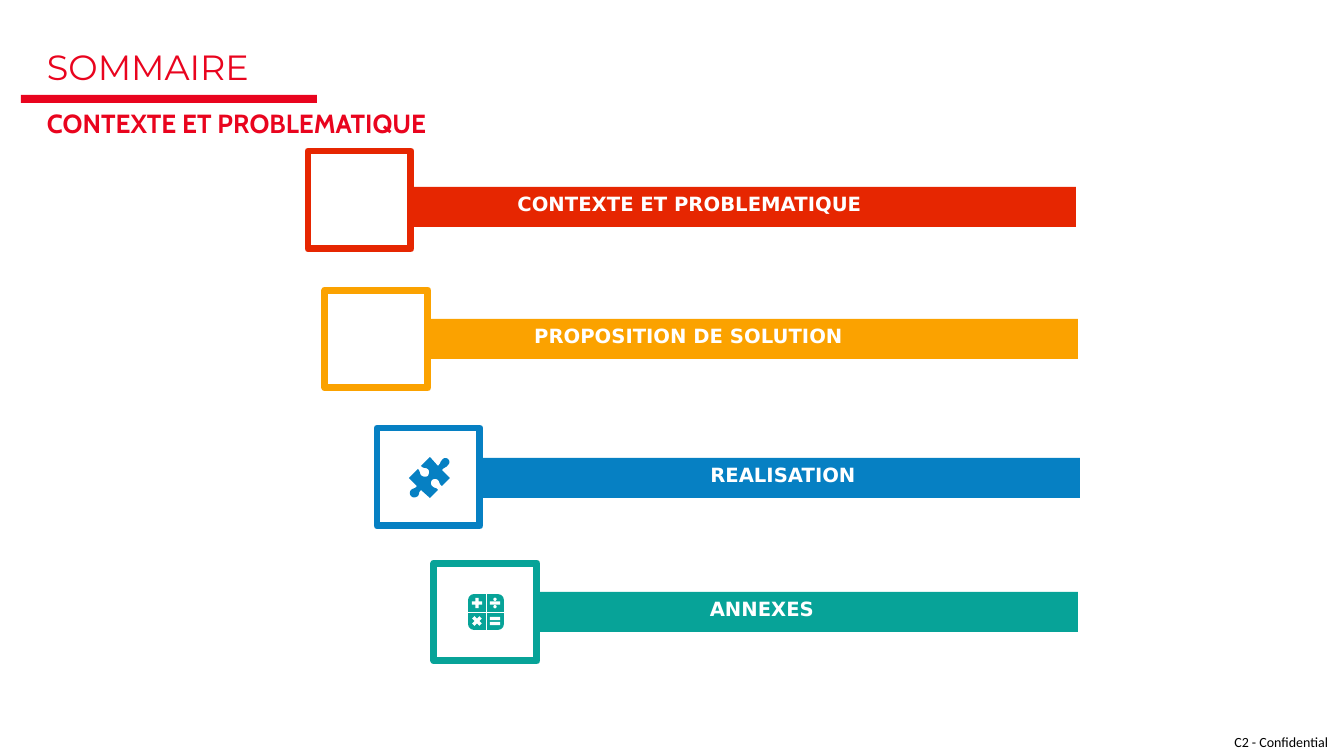
import dataclasses

import lxml.etree
import pptx
import pptx.dml.color
import pptx.enum.shapes
import pptx.enum.text
import pptx.oxml.ns
import pptx.util

PX = 914400 / 100.8
SHAPES = pptx.enum.shapes.MSO_SHAPE
ALIGN = pptx.enum.text.PP_ALIGN
ANCHOR = pptx.enum.text.MSO_ANCHOR


@dataclasses.dataclass(frozen=True)
class Theme:
    accent: str = "E9041E"
    red: str = "E62601"
    orange: str = "FBA200"
    blue: str = "0680C3"
    teal: str = "07A398"
    white: str = "FFFFFF"
    black: str = "000000"
    title_size: float = 25
    subtitle_size: float = 18.7
    label_size: float = 14
    footer_size: float = 10
    frame_width: float = 5


THEME = Theme()


@dataclasses.dataclass(frozen=True)
class Chapter:
    label: str
    color: str
    frame_left: int
    frame_top: int
    bar_left: int
    bar_top: int
    bar_right: int
    label_left: int
    label_right: int


CHAPTERS = [
    Chapter("CONTEXTE ET PROBLEMATIQUE", THEME.red, 308, 151, 393, 187, 1076, 418, 961),
    Chapter("PROPOSITION DE SOLUTION", THEME.orange, 325, 290, 410, 319, 1078, 434, 943),
    Chapter("REALISATION", THEME.blue, 377, 428, 463, 458, 1080, 486, 1080),
    Chapter("ANNEXES", THEME.teal, 434, 563, 520, 592, 1078, 540, 984),
]
FRAME_SIZE = (103, 98)
BAR_HEIGHT = 40
LABEL_HEIGHT = 34

# Two numbers are a line to a point; six are a cubic curve.
PUZZLE_START = (39, 2)
PUZZLE_SEGMENTS = [
    (41, 4, 41, 6, 39, 8), (37, 11, 35, 10, 33, 13), (41, 21), (33, 29),
    (30, 27, 31, 25, 29, 23), (27, 21, 24, 22, 23, 23), (22, 24, 21, 27, 23, 29),
    (26, 32, 27, 30, 29, 33), (21, 41), (12, 33),
    (9, 36, 11, 36, 9, 39), (6, 41, 4, 41, 2, 39), (1, 38, 0, 35, 2, 33),
    (4, 31, 6, 32, 8, 29), (0, 21), (9, 12),
    (12, 15, 10, 17, 13, 19), (15, 20, 17, 20, 19, 19), (20, 17, 21, 14, 19, 12),
    (16, 10, 15, 12, 12, 9), (21, 0), (29, 9),
    (32, 6, 31, 5, 33, 3), (35, 0, 38, 1, 39, 2),
]


def emu(*lengths):
    return [round(length * PX) for length in lengths]


def rgb(color):
    return pptx.dml.color.RGBColor.from_string(color)


def paint(shape, fill, line=None):
    shape.shadow.inherit = False
    shape.fill.solid()
    shape.fill.fore_color.rgb = rgb(fill)
    if line:
        shape.line.color.rgb = rgb(line)
        shape.line.width = pptx.util.Pt(THEME.frame_width)
    else:
        shape.line.fill.background()


def add_shape(slide, kind, box, fill, line=None):
    shape = slide.shapes.add_shape(kind, *emu(*box))
    paint(shape, fill, line)
    return shape


def write_text(shape, text, *, font, size, color, bold=False, align=ALIGN.LEFT,
               anchor=ANCHOR.MIDDLE, spacing=1.0):
    frame = shape.text_frame
    frame.word_wrap = True
    frame.auto_size = pptx.enum.text.MSO_AUTO_SIZE.NONE
    frame.vertical_anchor = anchor
    frame.margin_left = frame.margin_right = frame.margin_top = frame.margin_bottom = 0
    paragraph = frame.paragraphs[0]
    paragraph.alignment = align
    paragraph.line_spacing = spacing
    paragraph.space_before = pptx.util.Pt(0)
    run = paragraph.add_run()
    run.text = text
    run.font.name = font
    run.font.size = pptx.util.Pt(size)
    run.font.bold = bold
    run.font.color.rgb = rgb(color)


def place(shape, box):
    shape.left, shape.top, shape.width, shape.height = emu(*box)


def add_heading(slide):
    title, subtitle = slide.shapes.title, slide.placeholders[1]
    place(title, (47, 53, 1249, 34))
    write_text(title, "SOMMAIRE", font="Montserrat", size=THEME.title_size,
               color=THEME.accent, anchor=ANCHOR.BOTTOM, spacing=0.75)
    place(subtitle, (47, 111, 1249, 28))
    write_text(subtitle, "CONTEXTE ET PROBLEMATIQUE", font="Cabin", bold=True,
               size=THEME.subtitle_size, color=THEME.accent,
               anchor=ANCHOR.BOTTOM, spacing=0.9)
    add_shape(slide, SHAPES.RECTANGLE, (21, 95, 296, 8), THEME.accent)


def add_footer(slide):
    footer = slide.shapes.add_textbox(*emu(1208, 727, 120, 29))
    write_text(footer, "C2 - Confidential", font="Calibri", size=THEME.footer_size,
               color=THEME.black, align=ALIGN.RIGHT)


def add_chapter(slide, chapter):
    bar = add_shape(slide, SHAPES.PENTAGON,
                    (chapter.bar_left, chapter.bar_top,
                     chapter.bar_right - chapter.bar_left, BAR_HEIGHT), chapter.color)
    bar.element.spPr.find(pptx.oxml.ns.qn("a:xfrm")).set("flipH", "1")
    label = slide.shapes.add_textbox(*emu(
        chapter.label_left, chapter.bar_top,
        chapter.label_right - chapter.label_left, LABEL_HEIGHT))
    write_text(label, chapter.label, font="DejaVu Sans", size=THEME.label_size,
               color=THEME.white, bold=True, align=ALIGN.CENTER)
    add_shape(slide, SHAPES.RECTANGLE,
              (chapter.frame_left, chapter.frame_top, *FRAME_SIZE),
              THEME.white, chapter.color)


def outline_points(start, segments, steps=6):
    """Return the points of an outline, with each curve cut into short lines."""
    points = [start]
    for segment in segments:
        if len(segment) == 2:
            points.append(segment)
            continue
        first = points[-1]
        for step in range(1, steps + 1):
            t = step / steps
            weights = ((1 - t) ** 3, 3 * t * (1 - t) ** 2, 3 * t ** 2 * (1 - t), t ** 3)
            points.append(tuple(
                sum(weight * value for weight, value
                    in zip(weights, (first[axis], *segment[axis::2])))
                for axis in (0, 1)))
    return points


def add_puzzle_icon(slide, left, top, color):
    points = [emu(*point) for point in outline_points(PUZZLE_START, PUZZLE_SEGMENTS)]
    builder = slide.shapes.build_freeform(*points[0])
    builder.add_line_segments(points[1:], close=True)
    paint(builder.convert_to_shape(*emu(left, top)), color)


def add_divider(slide, start, end):
    line = slide.shapes.add_connector(
        pptx.enum.shapes.MSO_CONNECTOR.STRAIGHT, *emu(*start, *end))
    line.line.color.rgb = rgb(THEME.white)
    line.line.width = pptx.util.Pt(0.5)
    lxml.etree.SubElement(line.element.spPr, pptx.oxml.ns.qn("a:effectLst"))


def add_calculator_icon(slide, left, top, color):
    size, key, sign = 36, 18, 14
    body = add_shape(slide, SHAPES.ROUNDED_RECTANGLE, (left, top, size, size), color)
    body.adjustments[0] = 0.17
    add_divider(slide, (left + key, top), (left + key, top + size))
    add_divider(slide, (left, top + key), (left + size, top + key))
    signs = [SHAPES.MATH_PLUS, SHAPES.MATH_DIVIDE, SHAPES.MATH_MULTIPLY, SHAPES.MATH_EQUAL]
    inset = (key - sign) // 2
    for index, kind in enumerate(signs):
        row, column = divmod(index, 2)
        add_shape(slide, kind, (left + column * key + inset, top + row * key + inset,
                                sign, sign), THEME.white)


def main():
    presentation = pptx.Presentation()
    presentation.slide_width, presentation.slide_height = emu(1344, 756)
    slide = presentation.slides.add_slide(
        presentation.slide_layouts.get_by_name("Section Header"))
    add_heading(slide)
    add_footer(slide)
    for chapter in CHAPTERS:
        add_chapter(slide, chapter)
    add_puzzle_icon(slide, 409, 457, THEME.blue)
    add_calculator_icon(slide, 468, 594, THEME.teal)
    presentation.save("out.pptx")


if __name__ == "__main__":
    main()
